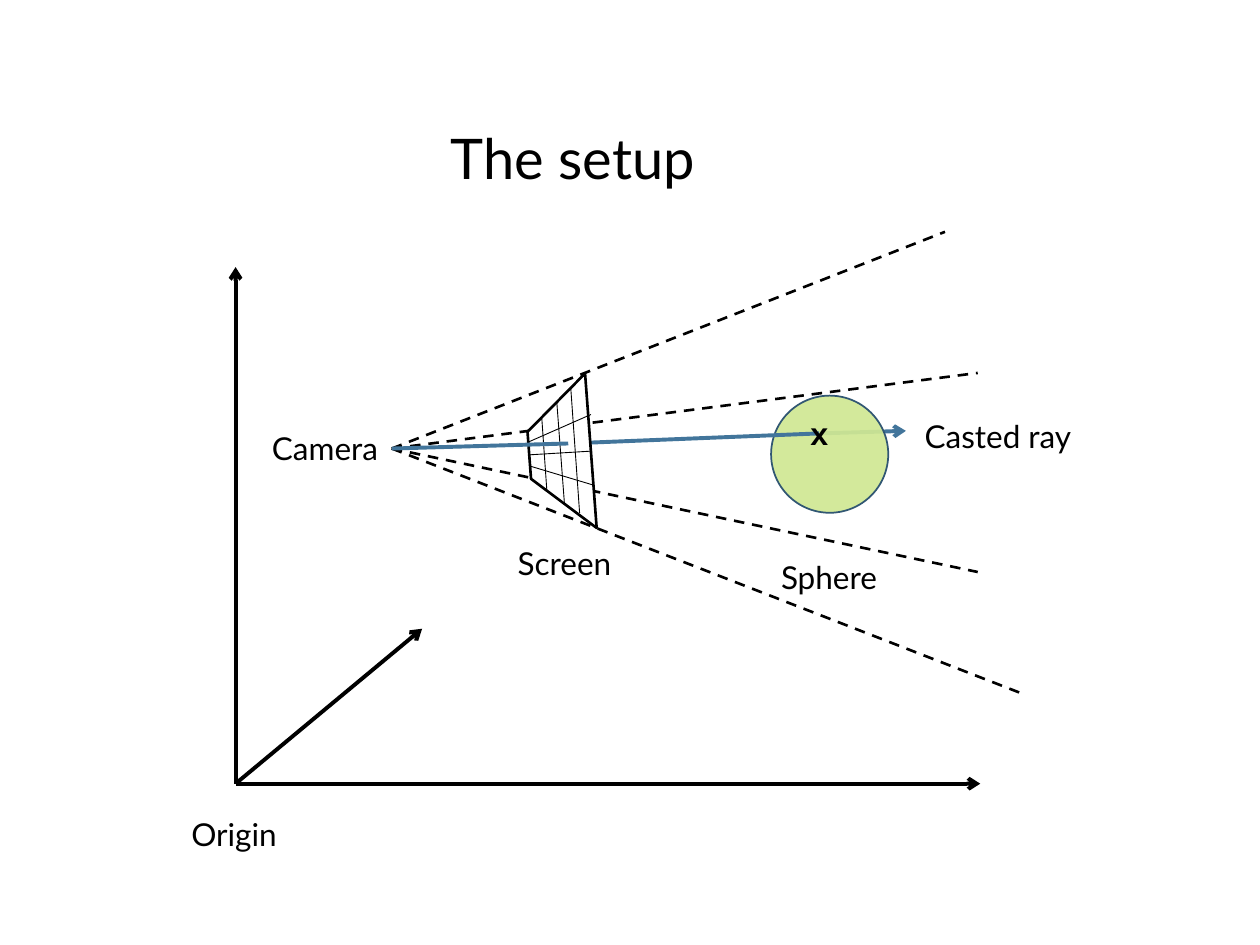
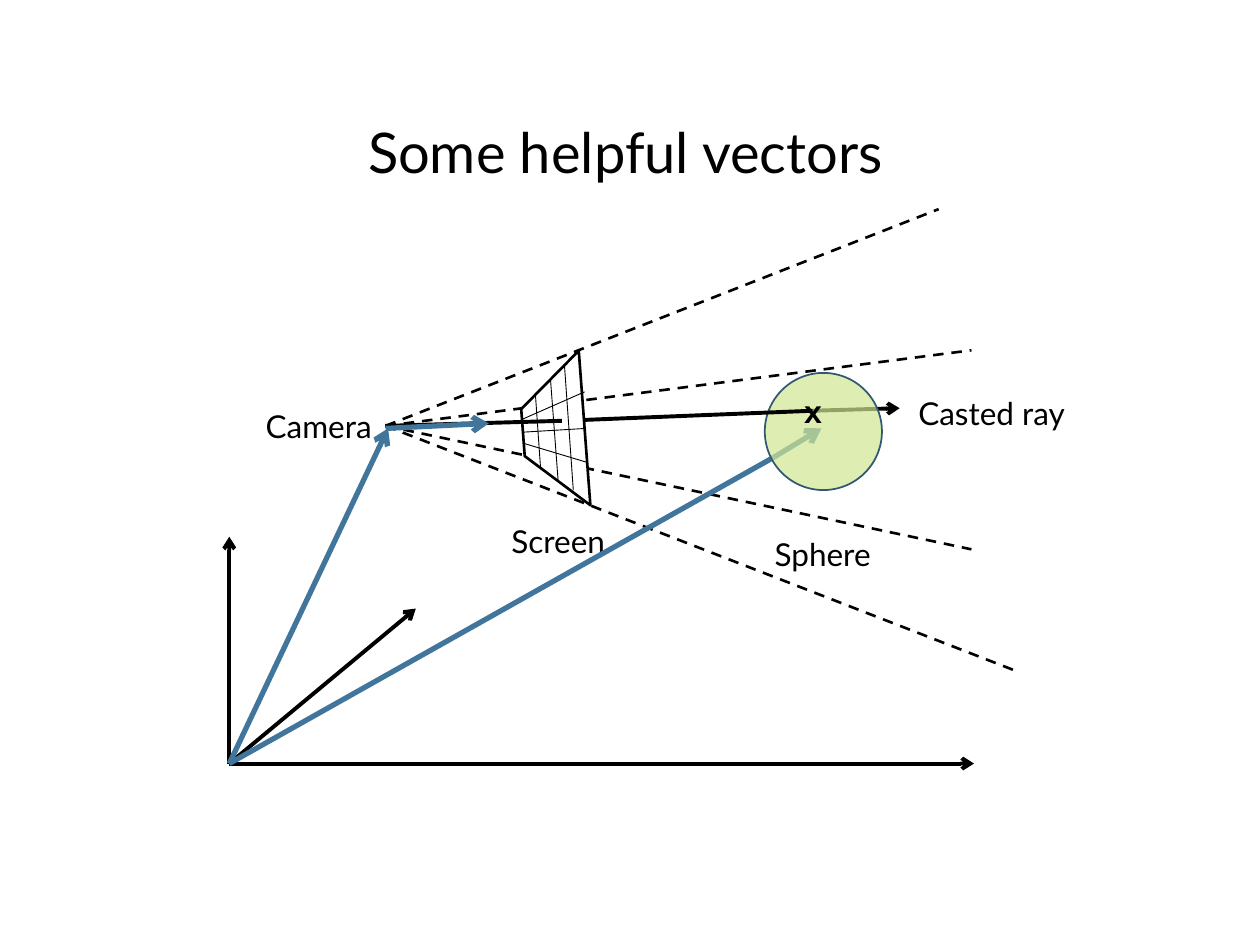
from lxml import etree
from pptx import Presentation
from pptx.dml.color import RGBColor
from pptx.enum.dml import MSO_LINE_DASH_STYLE as DASH
from pptx.enum.shapes import MSO_CONNECTOR as CONNECTOR, MSO_SHAPE as SHAPE
from pptx.enum.text import MSO_AUTO_SIZE as AUTO_SIZE, PP_ALIGN as ALIGN
from pptx.oxml.ns import qn
from pptx.util import Inches, Pt

BLACK, WHITE, BLUE = "000000", "FFFFFF", "42759B"
SPHERE_FILL, SPHERE_LINE = "D0E894", "315773"
FONT = "Lato"

LABELS = [("Camera", -1.05, -0.2, 1.05), ("Screen", 0.9, 0.71, 0.95),
          ("Sphere", 2.99, 0.82, 0.98), ("Casted ray", 4.13, -0.3, 1.37)]
FRUSTUM_ENDS = [(4.65, -0.6), (4.65, 0.98), (4.39, -1.72), (4.99, 1.94)]
SCREEN_GRID = [((1.19, -0.24), (1.23, 0.33)), ((1.31, -0.36), (1.37, 0.44)),
               ((1.42, -0.48), (1.49, 0.51)), ((1.09, 0.05), (1.59, 0.02)),
               ((1.08, -0.05), (1.58, -0.27)), ((1.1, 0.14), (1.6, 0.29))]
RAY_AT_SCREEN, RAY_AT_HIT, RAY_END = (1.4, -0.04), (3.39, -0.12), (4.08, -0.14)


def color(value):
    return RGBColor.from_string(value)


def shift(point, offset):
    return point[0] + offset[0], point[1] + offset[1]


class Diagram:
    """Draws the ray casting scene on the current slide."""

    def __init__(self, presentation):
        self.presentation = presentation
        self.slide = None

    def new_slide(self, panel_left, panel_top):
        self.slide = self.presentation.slides.add_slide(self.presentation.slide_layouts[6])
        self.shape(SHAPE.RECTANGLE, panel_left, panel_top, 7.39, 5.48, WHITE, WHITE)

    def shape(self, kind, left, top, width, height, fill, outline, weight=1):
        shape = self.slide.shapes.add_shape(
            kind, Inches(left), Inches(top), Inches(width), Inches(height))
        shape.shadow.inherit = False
        shape.fill.solid()
        shape.fill.fore_color.rgb = color(fill)
        shape.line.color.rgb = color(outline)
        shape.line.width = Pt(weight)
        return shape

    def line(self, start, end, weight=2.25, stroke=BLACK, arrow=False, dashed=False):
        connector = self.slide.shapes.add_connector(
            CONNECTOR.STRAIGHT, *(Inches(length) for length in (*start, *end)))
        connector.line.color.rgb = color(stroke)
        connector.line.width = Pt(weight)
        if dashed:
            connector.line.dash_style = DASH.DASH
        properties = connector._element.spPr
        if arrow:
            etree.SubElement(properties.find(qn("a:ln")), qn("a:tailEnd"), type="arrow")
        etree.SubElement(properties, qn("a:effectLst"))

    def text(self, words, left, top, width, height=0.4, size=18, font=FONT,
             bold=False, align=ALIGN.LEFT):
        box = self.slide.shapes.add_textbox(
            Inches(left), Inches(top), Inches(width), Inches(height))
        box.text_frame.word_wrap = False
        box.text_frame.auto_size = AUTO_SIZE.SHAPE_TO_FIT_TEXT
        paragraph = box.text_frame.paragraphs[0]
        paragraph.alignment = align
        run = paragraph.add_run()
        run.text = words
        run.font.name, run.font.size, run.font.bold = font, Pt(size), bold
        run.font.color.rgb = color(BLACK)

    def title(self, words, left, top, width, align=ALIGN.LEFT):
        self.text(words, left, top, width, 0.64, size=32, align=align)

    def axes(self, origin, up):
        for end in [(5.91, 0), (0, -up), (1.48, -1.23)]:
            self.line(origin, shift(origin, end), arrow=True)

    def vector(self, start, end, arrow=True):
        self.line(start, end, 3, BLUE, arrow)

    def view(self, camera, ray_color):
        self.line(shift(RAY_AT_HIT, camera), shift(RAY_END, camera),
                  stroke=ray_color, arrow=True)
        for words, left, top, width in LABELS:
            self.text(words, *shift((left, top), camera), width)
        for end in FRUSTUM_ENDS:
            self.line(camera, shift(end, camera), 1.5, dashed=True)

    def sphere(self, camera, opacity):
        sphere = self.shape(SHAPE.OVAL, *shift((3.01, -0.42), camera), 0.93, 0.93,
                            SPHERE_FILL, SPHERE_LINE)
        fill_color = sphere._element.spPr.find(qn("a:solidFill"))[0]
        etree.SubElement(fill_color, qn("a:alpha"), val=str(opacity * 1000))

    def ray_and_screen(self, camera, ray_color):
        self.line(shift(RAY_AT_SCREEN, camera), shift(RAY_AT_HIT, camera), stroke=ray_color)
        self.text("x", *shift((3.22, -0.32), camera), 0.35, font="Courier New", bold=True)
        screen = self.shape(SHAPE.TRAPEZOID, *shift((0.72, -0.21), camera), 1.23, 0.49,
                            WHITE, BLACK, 1.5)
        screen.adjustments[0] = 0.873
        screen.rotation = 265.7
        for start, end in SCREEN_GRID:
            self.line(shift(start, camera), shift(end, camera), 0.5)
        self.line(camera, shift(RAY_AT_SCREEN, camera), stroke=ray_color)


def setup_slide(diagram):
    camera, origin = (3.11, 3.56), (1.87, 6.22)
    diagram.new_slide(1.3, 1.41)
    diagram.view(camera, BLUE)
    diagram.sphere(camera, 93)
    diagram.axes(origin, 4.1)
    diagram.text("Origin", 1.42, 6.42, 0.89)
    diagram.ray_and_screen(camera, BLUE)
    diagram.title("The setup", 3.48, 0.93, 2.15)


def vectors_slide(diagram):
    camera, origin = (3.06, 3.38), (1.82, 6.06)
    sphere_edge, sphere_center = (6.14, 3.63), (6.52, 3.4)
    diagram.new_slide(1.25, 1.25)
    diagram.axes(origin, 1.8)
    diagram.vector(origin, (3.08, 3.4))
    diagram.view(camera, BLACK)
    diagram.vector(sphere_edge, sphere_center)
    diagram.vector(origin, sphere_edge, arrow=False)
    diagram.sphere(camera, 70)
    diagram.ray_and_screen(camera, BLACK)
    diagram.vector((3.06, 3.4), (3.88, 3.36))
    diagram.title("Some helpful vectors", 2.74, 0.88, 4.45, ALIGN.CENTER)


def main():
    presentation = Presentation()
    presentation.slide_width, presentation.slide_height = Inches(10), Inches(7.5)
    diagram = Diagram(presentation)
    setup_slide(diagram)
    vectors_slide(diagram)
    presentation.save("out.pptx")


if __name__ == "__main__":
    main()
